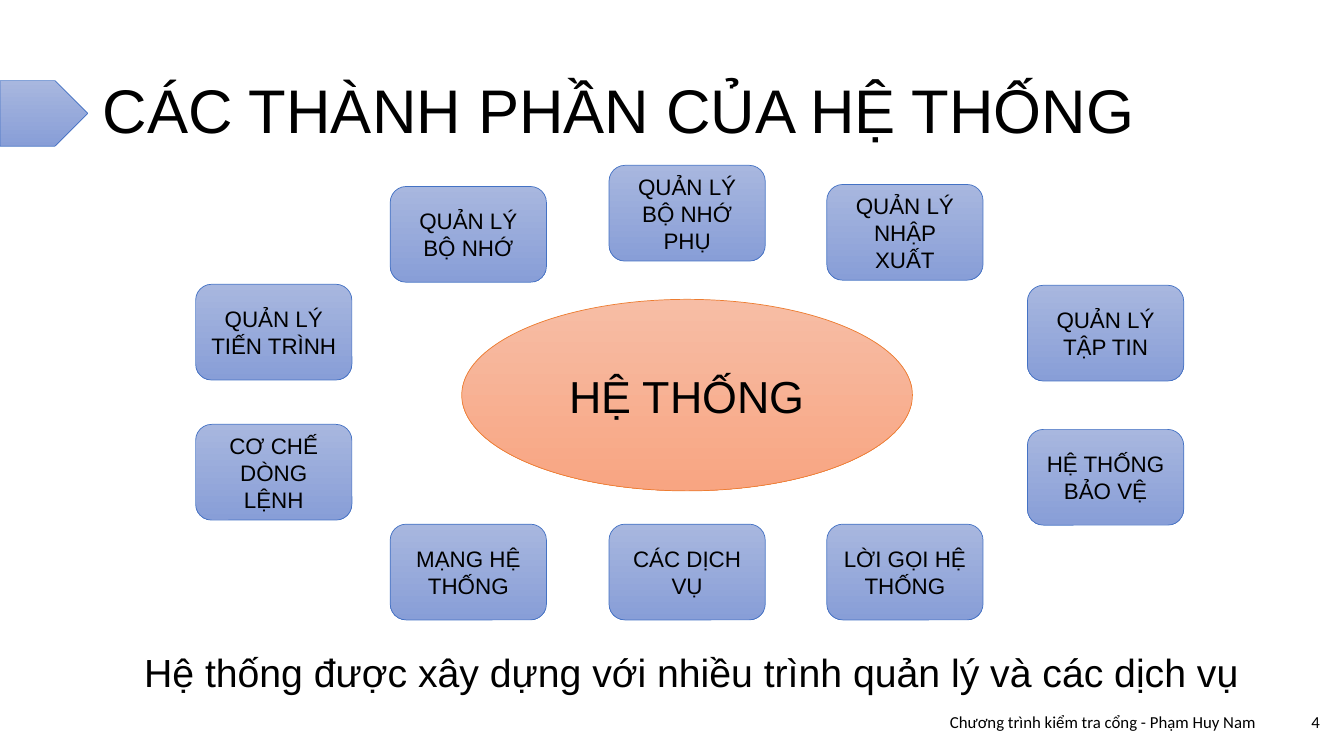
from dataclasses import dataclass

import pptx
import pptx.dml.color
import pptx.enum.shapes
import pptx.enum.text
import pptx.util

Inches = pptx.util.Inches
Pt = pptx.util.Pt
RGB = pptx.dml.color.RGBColor.from_string
SHAPE = pptx.enum.shapes.MSO_SHAPE
ALIGN = pptx.enum.text.PP_ALIGN
ANCHOR = pptx.enum.text.MSO_ANCHOR


@dataclass(frozen=True)
class Theme:
    text: str = "000000"
    blue: tuple = ("A8B7DF", "889ED7", "4472C4")  # gradient top, bottom, outline
    orange: tuple = ("F7BDA5", "F8A582", "ED7D31")
    font: str = "Arial"
    footer_font: str = "Calibri"
    title: int = 44
    hub: int = 32
    body: int = 28
    node: int = 16
    footer: int = 12
    line: float = 0.5


THEME = Theme()

NODE_SIZE = (1.55, 0.95)
LEFT, RIGHT = 1.94, 10.19
COLUMNS = (3.87, 6.04, 8.2)
BOTTOM = 5.2
COMPONENTS = [
    ("QUẢN LÝ TIẾN TRÌNH", LEFT, 2.82),
    ("QUẢN LÝ BỘ NHỚ", COLUMNS[0], 1.85),
    ("QUẢN LÝ BỘ NHỚ PHỤ", COLUMNS[1], 1.64),
    ("QUẢN LÝ NHẬP XUẤT", COLUMNS[2], 1.83),
    ("QUẢN LÝ TẬP TIN", RIGHT, 2.83),
    ("HỆ THỐNG BẢO VỆ", RIGHT, 4.26),
    ("CƠ CHẾ DÒNG LỆNH", LEFT, 4.21),
    ("MẠNG HỆ THỐNG", COLUMNS[0], BOTTOM),
    ("CÁC DỊCH VỤ", COLUMNS[1], BOTTOM),
    ("LỜI GỌI HỆ THỐNG", COLUMNS[2], BOTTOM),
]


def inches(box):
    return [Inches(v) for v in box]


def write(sp, text, size, font=THEME.font, align=ALIGN.CENTER,
          anchor=ANCHOR.MIDDLE, spacing=None, before=None):
    tf = sp.text_frame
    tf.word_wrap = True
    tf.vertical_anchor = anchor
    p = tf.paragraphs[0]
    p.alignment = align
    if spacing is not None:
        p.line_spacing = spacing
    if before is not None:
        p.space_before = Pt(before)
    r = p.add_run()
    r.text = text
    r.font.name = font
    r.font.size = Pt(size)
    r.font.color.rgb = RGB(THEME.text)


def add_gradient_shape(s, kind, box, colors):
    top, bottom, outline = colors
    sp = s.shapes.add_shape(kind, *inches(box))
    sp.shadow.inherit = False
    sp.fill.gradient()
    sp.fill.gradient_angle = 270
    for stop, color in zip(sp.fill.gradient_stops, (top, bottom)):
        stop.color.rgb = RGB(color)
    sp.line.color.rgb = RGB(outline)
    sp.line.width = Pt(THEME.line)
    return sp


def add_title(s, box, text):
    """Title with an arrow tab running in from the slide's left edge."""
    sp = s.shapes.title
    sp.left, sp.top, sp.width, sp.height = inches(box)
    write(sp, text, THEME.title, align=ALIGN.LEFT, spacing=0.9)
    x, y, _, h = box
    tab_h = 0.65
    tab = (0, y + (h - tab_h) / 2, x - 0.05, tab_h)
    add_gradient_shape(s, SHAPE.PENTAGON, tab, THEME.blue)


def add_components(s, hub_box):
    """Central system ellipse with its components around it."""
    for text, x, y in COMPONENTS:
        sp = add_gradient_shape(s, SHAPE.ROUNDED_RECTANGLE, (x, y, *NODE_SIZE), THEME.blue)
        write(sp, text, THEME.node)
    hub = add_gradient_shape(s, SHAPE.OVAL, hub_box, THEME.orange)
    write(hub, "HỆ THỐNG", THEME.hub)


def add_text(s, box, text, size, **fmt):
    write(s.shapes.add_textbox(*inches(box)), text, size, **fmt)


def add_footer(s, box, text, number):
    """Centred footer text, with the slide number at the right end of the box."""
    x, y, w, h = box
    add_text(s, box, text, THEME.footer, font=THEME.footer_font)
    add_text(s, (x + w / 3, y, w * 2 / 3, h), number, THEME.footer,
             font=THEME.footer_font, align=ALIGN.RIGHT)


def main():
    prs = pptx.Presentation()
    prs.slide_width, prs.slide_height = Inches(13.33), Inches(7.5)
    s = prs.slides.add_slide(prs.slide_layouts.get_by_name("Title Only"))
    add_title(s, (0.92, 0.4, 11.5, 1.45), "CÁC THÀNH PHẦN CỦA HỆ THỐNG")
    add_text(s, (0.89, 6.15, 11.93, 0.82),
             "Hệ thống được xây dựng với nhiều trình quản lý và các dịch vụ",
             THEME.body, anchor=ANCHOR.TOP, spacing=1.5, before=10)
    add_footer(s, (8.69, 6.96, 4.5, 0.4), "Chương trình kiểm tra cổng - Phạm Huy Nam", "4")
    add_components(s, (4.58, 2.97, 4.47, 1.9))
    prs.save("out.pptx")


if __name__ == "__main__":
    main()
